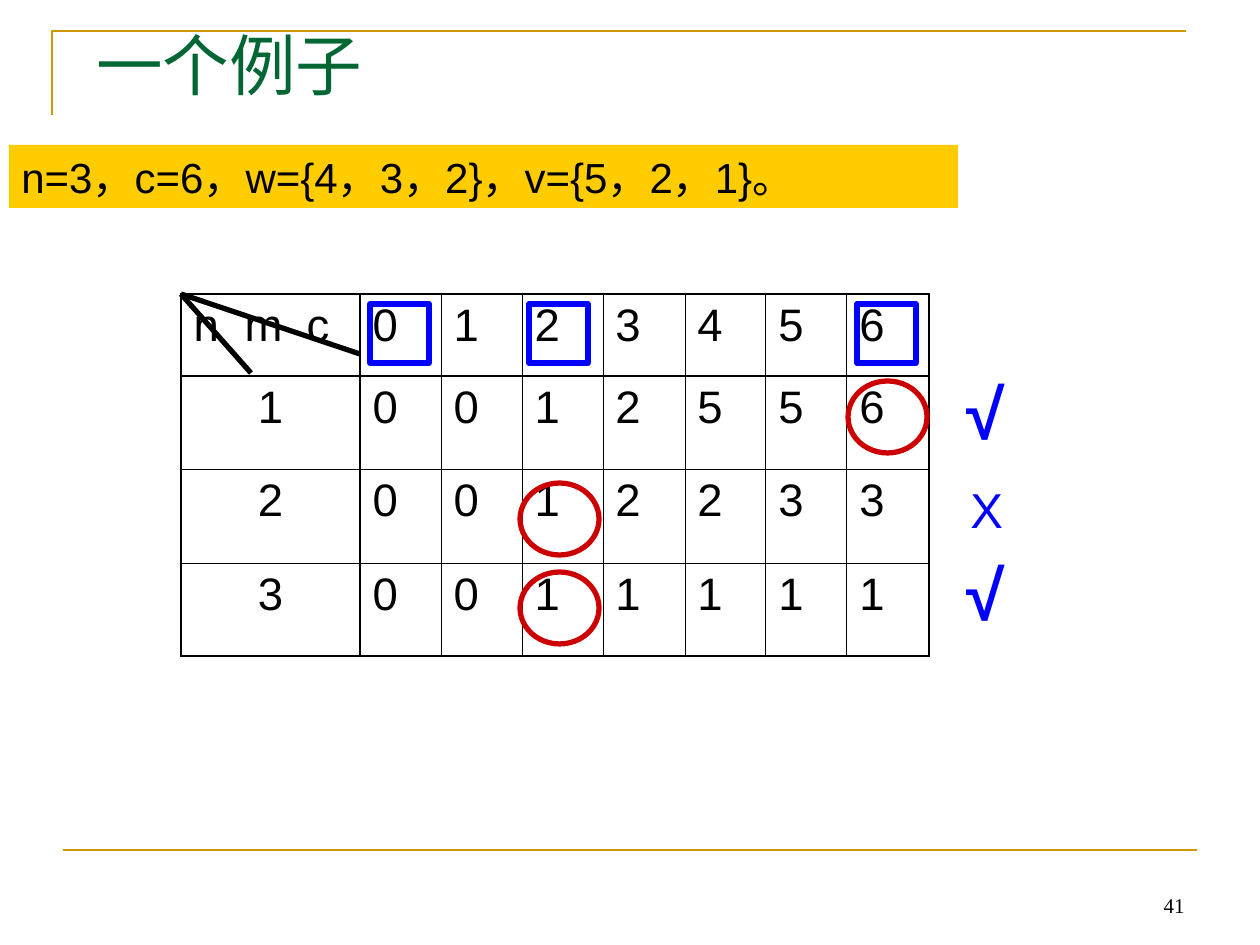
from dataclasses import dataclass

from lxml import etree
from pptx import Presentation
from pptx.dml.color import RGBColor
from pptx.enum import shapes, text
from pptx.oxml.ns import qn
from pptx.util import Pt

PX = 914400 / 126
BLACK = RGBColor(0x00, 0x00, 0x00)
BLUE = RGBColor(0x00, 0x00, 0xFF)
RED = RGBColor(0xCC, 0x00, 0x00)
GREEN = RGBColor(0x00, 0x66, 0x33)
GOLD = RGBColor(0xCC, 0x99, 0x00)
YELLOW = RGBColor(0xFF, 0xCC, 0x00)
SERIF, SANS = "Times New Roman", "Arial"
ALIGN, ANCHOR = text.PP_ALIGN, text.MSO_ANCHOR
RECTANGLE, OVAL = shapes.MSO_SHAPE.RECTANGLE, shapes.MSO_SHAPE.OVAL


@dataclass
class Box:
    left: int
    top: int
    width: int
    height: int

    def emu(self) -> list[int]:
        return [px(n) for n in (self.left, self.top, self.width, self.height)]


@dataclass
class Style:
    size: int
    font: str = SANS
    color: RGBColor = BLACK
    bold: bool = False
    align: ALIGN = ALIGN.LEFT


@dataclass
class Label:
    words: str
    box: Box
    style: Style
    anchor: ANCHOR = ANCHOR.TOP
    wrap: bool = False


@dataclass
class Line:
    start: tuple[int, int]
    end: tuple[int, int]
    color: RGBColor
    points: float


@dataclass
class Mark:
    kind: shapes.MSO_SHAPE
    box: Box
    color: RGBColor


TICK = Style(40, color=BLUE, bold=True)
LABELS = [
    Label("41", Box(903, 861, 294, 63), Style(12, SERIF, align=ALIGN.RIGHT), ANCHOR.BOTTOM, True),
    Label("一个例子", Box(84, 0, 1012, 110), Style(38, SERIF, GREEN), ANCHOR.BOTTOM, True),
    Label("√", Box(954, 363, 63, 97), TICK),
    Label("√", Box(954, 544, 63, 97), TICK),
    Label("X", Box(958, 473, 58, 72), Style(28, color=BLUE)),
]
BANNER = Label("n=3，c=6，w={4，3，2}，v={5，2，1}。", Box(9, 145, 949, 63), Style(24))

CORNER = (181, 294)
FOOTER_RULE = Line((63, 850), (1197, 850), GOLD, 1.5)
HEADER_DIAGONALS = [Line(CORNER, end, BLACK, 3) for end in ((251, 373), (360, 354))]
MARKS = [Mark(RECTANGLE, Box(left, 304, 59, 59), BLUE) for left in (370, 529, 857)] + [
    Mark(OVAL, Box(left, top, 79, 72), RED)
    for left, top in ((848, 381), (520, 483), (520, 572))
]

ROWS = [
    ["n\tm\tc", *"0123456"],
    ["1", *"0012556"],
    ["2", *"0012233"],
    ["3", *"0011111"],
]
COLUMN_WIDTHS = [179, 81, 81, 81, 82, 81, 81, 82]
ROW_HEIGHTS = [82, 93, 94, 93]
HEADER_TABS = [51, 113]
THIN, MEDIUM, THICK = 0.45, 1.08, 1.47
VERTICAL_RULES = [THICK, THICK] + [THIN] * 6 + [MEDIUM]
HORIZONTAL_RULES = [THICK, THICK, THIN, THIN, MEDIUM]


def px(length: int) -> int:
    return round(length * PX)


def write(frame, words: str, style: Style) -> None:
    para = frame.paragraphs[0]
    para.text = words
    para.alignment = style.align
    para.font.size = Pt(style.size)
    para.font.name = style.font
    para.font.bold = style.bold
    para.font.color.rgb = style.color


def fill_frame(frame, label: Label) -> None:
    frame.word_wrap = label.wrap
    frame.vertical_anchor = label.anchor
    write(frame, label.words, label.style)


def add_label(page, label: Label) -> None:
    fill_frame(page.shapes.add_textbox(*label.box.emu()).text_frame, label)


def add_banner(page, label: Label) -> None:
    box = page.shapes.add_shape(RECTANGLE, *label.box.emu())
    box.shadow.inherit = False
    box.fill.solid()
    box.fill.fore_color.rgb = YELLOW
    box.line.fill.background()
    fill_frame(box.text_frame, label)


def outline(shape, color: RGBColor, points: float) -> None:
    shape.shadow.inherit = False
    shape.fill.background()
    shape.line.color.rgb = color
    shape.line.width = Pt(points)


def add_mark(page, mark: Mark) -> None:
    outline(page.shapes.add_shape(mark.kind, *mark.box.emu()), mark.color, 3)


def add_line(page, line: Line) -> None:
    ends = [px(n) for n in (*line.start, *line.end)]
    connector = page.shapes.add_connector(shapes.MSO_CONNECTOR.STRAIGHT, *ends)
    connector.line.color.rgb = line.color
    connector.line.width = Pt(line.points)
    etree.SubElement(connector._element.spPr, qn("a:effectLst"))


def add_title_rule(page) -> None:
    builder = page.shapes.build_freeform(52, 115, scale=PX)
    builder.add_line_segments([(52, 31), (1186, 31)], close=False)
    outline(builder.convert_to_shape(), GOLD, 1.5)


def set_borders(cell, row: int, column: int) -> None:
    properties = cell._tc.get_or_add_tcPr()
    for side, points in (
        ("L", VERTICAL_RULES[column]),
        ("R", VERTICAL_RULES[column + 1]),
        ("T", HORIZONTAL_RULES[row]),
        ("B", HORIZONTAL_RULES[row + 1]),
    ):
        border = etree.SubElement(properties, qn(f"a:ln{side}"), w=str(Pt(points)))
        solid = etree.SubElement(border, qn("a:solidFill"))
        etree.SubElement(solid, qn("a:srgbClr"), val=str(BLACK))


def set_tabs(para, stops: list[int]) -> None:
    tabs = etree.SubElement(para._p.get_or_add_pPr(), qn("a:tabLst"))
    for stop in stops:
        etree.SubElement(tabs, qn("a:tab"), pos=str(px(stop)), algn="l")


def add_value_table(page) -> None:
    box = Box(*CORNER, sum(COLUMN_WIDTHS), sum(ROW_HEIGHTS))
    table = page.shapes.add_table(len(ROWS), len(COLUMN_WIDTHS), *box.emu()).table
    table.first_row = table.horz_banding = False
    for column, width in zip(table.columns, COLUMN_WIDTHS):
        column.width = px(width)
    for row, height in zip(table.rows, ROW_HEIGHTS):
        row.height = px(height)
    set_tabs(table.cell(0, 0).text_frame.paragraphs[0], HEADER_TABS)
    for row, values in enumerate(ROWS):
        for column, value in enumerate(values):
            cell = table.cell(row, column)
            align = ALIGN.CENTER if row and not column else ALIGN.LEFT
            write(cell.text_frame, value, Style(26, align=align))
            set_borders(cell, row, column)
            cell.fill.background()


def main() -> None:
    deck = Presentation()
    deck.slide_width, deck.slide_height = px(1260), px(945)
    page = deck.slides.add_slide(deck.slide_layouts[6])
    add_title_rule(page)
    add_line(page, FOOTER_RULE)
    add_value_table(page)
    for line in HEADER_DIAGONALS:
        add_line(page, line)
    for mark in MARKS:
        add_mark(page, mark)
    add_banner(page, BANNER)
    for label in LABELS:
        add_label(page, label)
    deck.save("out.pptx")


if __name__ == "__main__":
    main()
